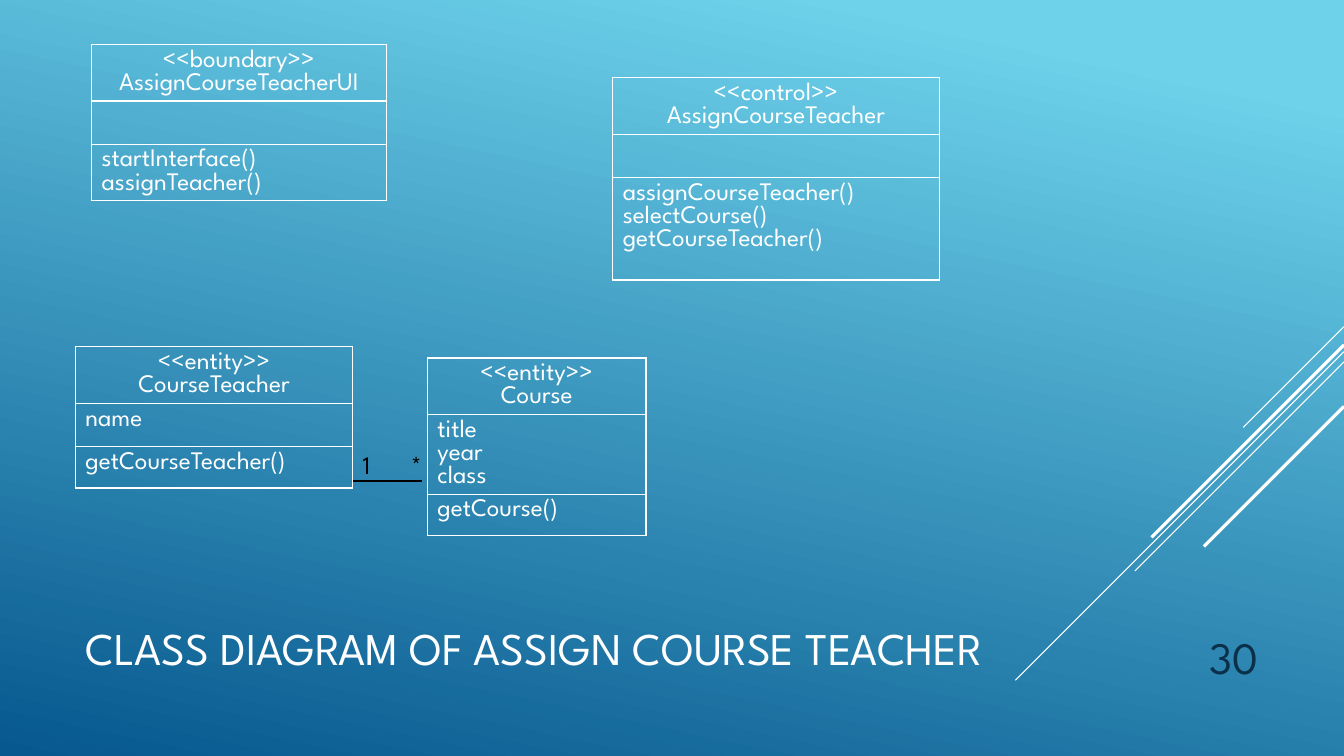
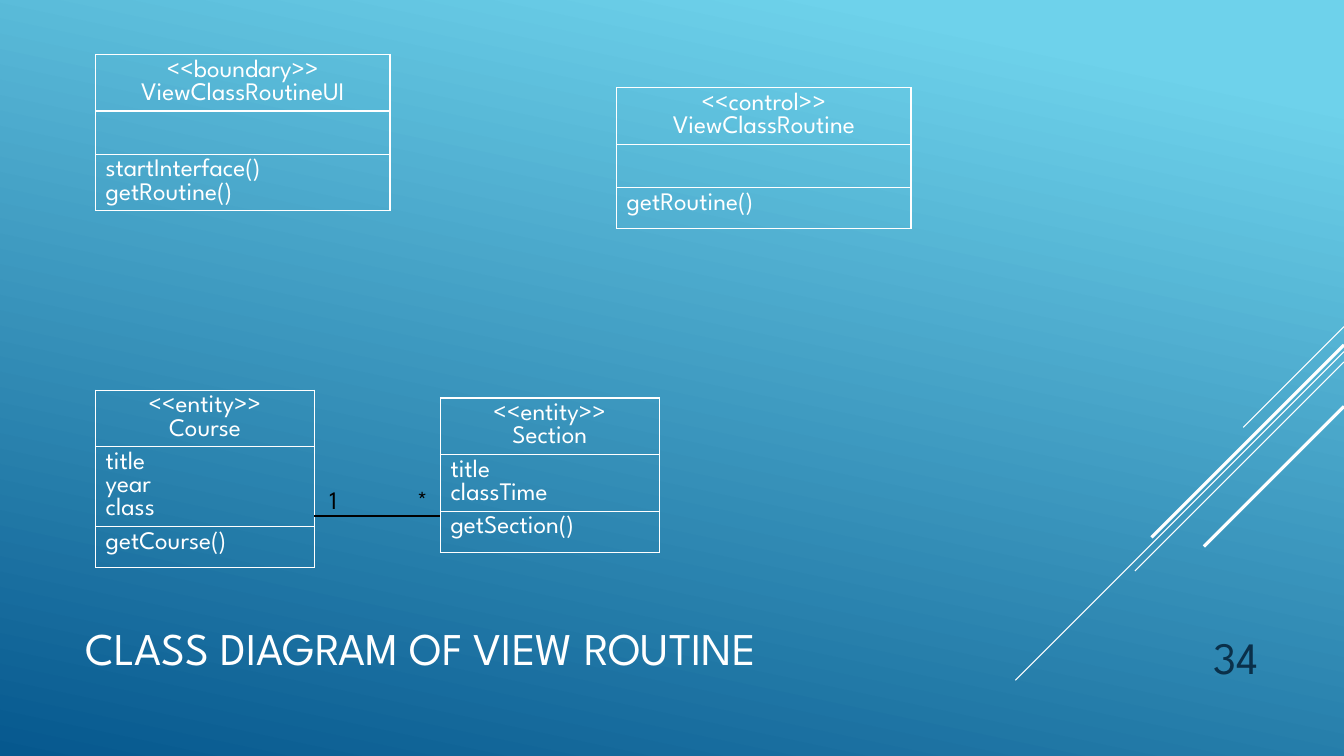
from dataclasses import dataclass

import pptx
import pptx.dml.color
import pptx.enum.dml
import pptx.enum.shapes
import pptx.enum.text
import pptx.oxml
import pptx.oxml.ns
import pptx.util

Cm, Pt = pptx.util.Cm, pptx.util.Pt
ALIGN = pptx.enum.text.PP_ALIGN
ANCHOR = pptx.enum.text.MSO_ANCHOR
AUTO_SIZE = pptx.enum.text.MSO_AUTO_SIZE

FONT = "League Spartan"
WHITE, BLACK, NAVY = "FFFFFF", "000000", "0A304A"
SKY, OCEAN = "6ED2EB", "06588E"
SLIDE_WIDTH, SLIDE_HEIGHT = 33.87, 19.05
LINE_HEIGHT, CELL_PADDING = 0.58, 0.25
HEADER_MIN, ATTRIBUTES_MIN, METHODS_MIN = 1.04, 1.09, 1.04

# Diagonals at 45 degrees: height at the right edge, run to the left, weight
DIAGONALS = [
    (8.23, 2.54, 0.75),
    (8.86, 8.28, 0.75),
    (9.12, 5.27, 0.75),
    (8.69, 4.85, 2.25),
    (10.24, 3.53, 2.25),
]


@dataclass
class UmlClass:
    """A class box; lengths are in centimetres."""
    left: float
    top: float
    width: float
    stereotype: str
    title: str
    attributes: tuple
    methods: tuple
    methods_min: float = METHODS_MIN


@dataclass
class Association:
    """A one-to-many line with the left edges of its two labels."""
    start: float
    end: float
    level: float
    one_left: float
    many_left: float


def rgb(value):
    return pptx.dml.color.RGBColor.from_string(value)


def write_lines(frame, lines, size, color, align=ALIGN.LEFT):
    for index, line in enumerate(lines):
        paragraph = frame.add_paragraph() if index else frame.paragraphs[0]
        paragraph.alignment = align
        run = paragraph.add_run()
        run.text = line
        run.font.name = FONT
        run.font.size = Pt(size)
        run.font.color.rgb = rgb(color)


def draw_line(slide, start, end, color, weight):
    line = slide.shapes.add_connector(
        pptx.enum.shapes.MSO_CONNECTOR.STRAIGHT,
        *(Cm(length) for length in (*start, *end)))
    line.line.color.rgb = rgb(color)
    line.line.width = Pt(weight)
    line._element.spPr.append(pptx.oxml.parse_xml(
        f"<a:effectLst {pptx.oxml.ns.nsdecls('a')}/>"))


def set_background(master):
    fill = master.background.fill
    fill.gradient()
    fill.gradient_angle = 360 - 102
    for stop, position, color in zip(fill.gradient_stops, (0.1, 1), (SKY, OCEAN)):
        stop.position = position
        stop.color.rgb = rgb(color)


def add_diagonals(slide):
    for edge_height, run, weight in DIAGONALS:
        draw_line(slide, (SLIDE_WIDTH, edge_height),
                  (SLIDE_WIDTH - run, edge_height + run), WHITE, weight)


def add_title(slide, text):
    title = slide.shapes.title
    title.left, title.top = Cm(1.9), Cm(16)
    title.width, title.height = Cm(23.7), Cm(0.64)
    frame = title.text_frame
    frame.auto_size = AUTO_SIZE.NONE
    frame.vertical_anchor = ANCHOR.MIDDLE
    write_lines(frame, [text], 32.4, WHITE)


def add_page_number(slide, number):
    box = slide.shapes.add_textbox(Cm(28.78), Cm(15.49), Cm(3.18), Cm(1.85))
    box.text_frame.word_wrap = True
    box.text_frame.vertical_anchor = ANCHOR.BOTTOM
    write_lines(box.text_frame, [str(number)], 32, NAVY, ALIGN.RIGHT)


def outline_cell(cell):
    properties = cell._tc.get_or_add_tcPr()
    for side in "LRTB":
        properties.append(pptx.oxml.parse_xml(
            f'<a:ln{side} {pptx.oxml.ns.nsdecls("a")} w="{Pt(1)}"><a:solidFill>'
            f'<a:srgbClr val="{WHITE}"/></a:solidFill></a:ln{side}>'))
    cell.fill.background()


def add_class(slide, uml):
    sections = [
        ((f"<<{uml.stereotype}>>", uml.title), HEADER_MIN, ALIGN.CENTER),
        (uml.attributes, ATTRIBUTES_MIN, ALIGN.LEFT),
        (uml.methods, uml.methods_min, ALIGN.LEFT),
    ]
    heights = [max(minimum, len(lines) * LINE_HEIGHT + CELL_PADDING)
               for lines, minimum, _ in sections]
    table = slide.shapes.add_table(
        len(sections), 1, Cm(uml.left), Cm(uml.top),
        Cm(uml.width), Cm(sum(heights))).table
    table.first_row = table.horz_banding = False
    for row, height, (lines, _, align) in zip(table.rows, heights, sections):
        row.height = Cm(height)
        cell = row.cells[0]
        outline_cell(cell)
        write_lines(cell.text_frame, lines, 18, WHITE, align)


def add_association(slide, link):
    draw_line(slide, (link.start, link.level), (link.end, link.level), BLACK, 1.25)
    for label, left, width in (("1", link.one_left, 0.76), ("*", link.many_left, 0.97)):
        box = slide.shapes.add_textbox(
            Cm(left), Cm(link.level - 0.93), Cm(width), Cm(1.02))
        box.text_frame.word_wrap = False
        box.text_frame.auto_size = AUTO_SIZE.SHAPE_TO_FIT_TEXT
        write_lines(box.text_frame, [label], 18, BLACK)


def add_class_diagram(deck, title, number, classes, link):
    slide = deck.slides.add_slide(deck.slide_layouts[5])
    add_diagonals(slide)
    add_title(slide, title)
    for uml in classes:
        add_class(slide, uml)
    add_association(slide, link)
    add_page_number(slide, number)


def course_class(left, top):
    return UmlClass(left, top, 5.51, "entity", "Course",
                    ("title", "year", "class"), ("getCourse()",))


def main():
    deck = pptx.Presentation()
    deck.slide_width, deck.slide_height = Cm(SLIDE_WIDTH), Cm(SLIDE_HEIGHT)
    set_background(deck.slide_master)

    add_class_diagram(
        deck, "CLASS DIAGRAM OF ASSIGN COURSE TEACHER", 30,
        [
            UmlClass(2.31, 1.12, 7.42, "boundary", "AssignCourseTeacherUI", (),
                     ("startInterface()", "assignTeacher()")),
            UmlClass(15.44, 1.96, 8.23, "control", "AssignCourseTeacher", (),
                     ("assignCourseTeacher()", "selectCourse()",
                      "getCourseTeacher()"), methods_min=2.58),
            course_class(10.77, 9.02),
            UmlClass(1.9, 8.74, 6.99, "entity", "CourseTeacher",
                     ("name",), ("getCourseTeacher()",)),
        ],
        Association(8.89, 10.64, 12.12, one_left=8.89, many_left=10.11))

    add_class_diagram(
        deck, "CLASS DIAGRAM OF VIEW ROUTINE", 34,
        [
            UmlClass(2.41, 1.37, 7.42, "boundary", "ViewClassRoutineUI", (),
                     ("startInterface()", "getRoutine()")),
            UmlClass(15.54, 2.21, 7.42, "control", "ViewClassRoutine", (),
                     ("getRoutine()",)),
            course_class(2.41, 9.83),
            UmlClass(11.1, 10.03, 5.51, "entity", "Section",
                     ("title", "classTime"), ("getSection()",)),
        ],
        Association(7.92, 11.1, 13, one_left=8.05, many_left=10.26))

    deck.save("out.pptx")


if __name__ == "__main__":
    main()
